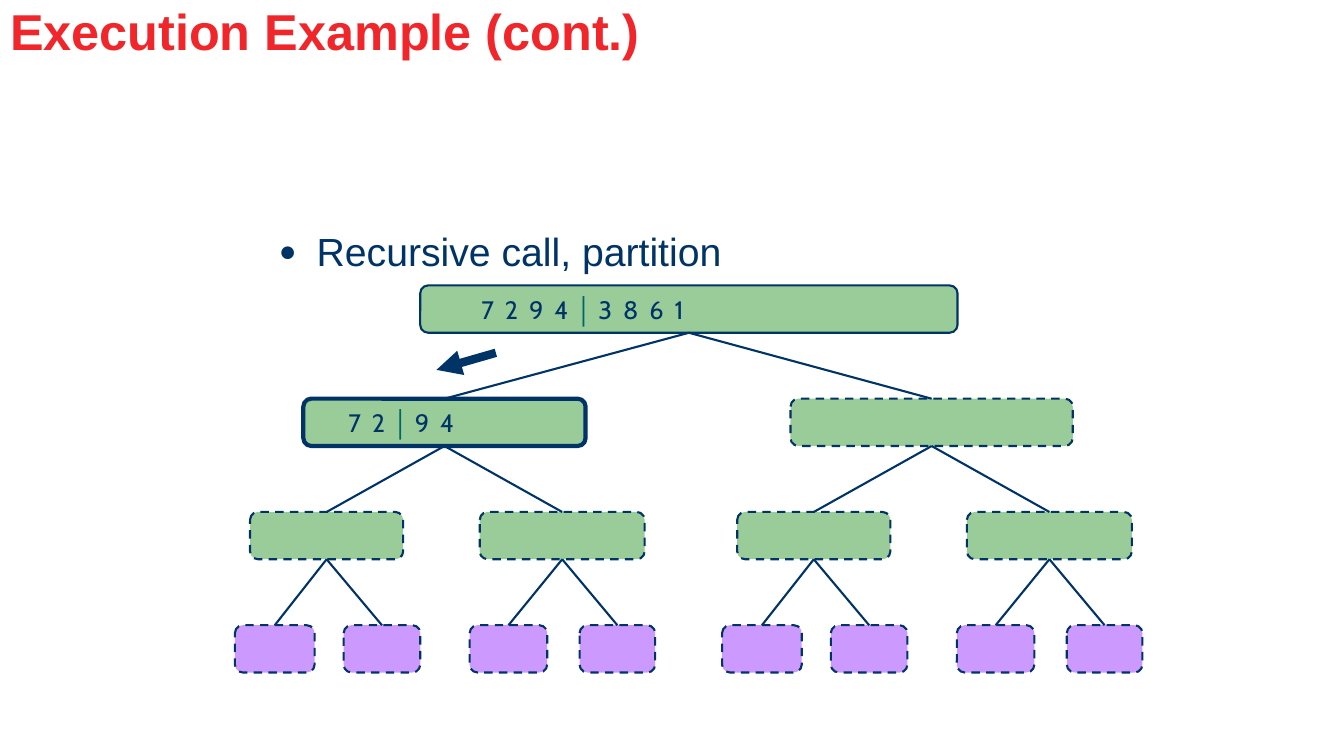
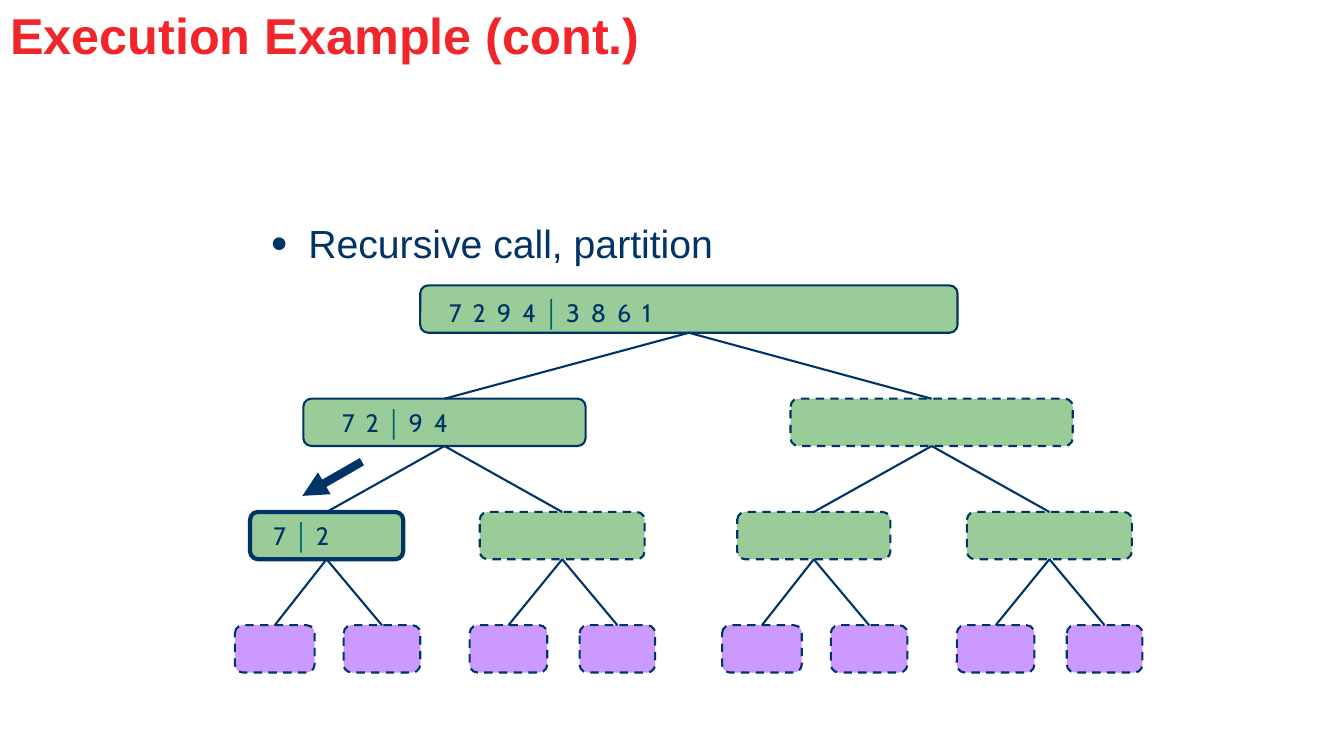
from lxml.etree import SubElement
from pptx import Presentation
from pptx.dml.color import RGBColor
from pptx.enum.dml import MSO_LINE
from pptx.enum.shapes import MSO_CONNECTOR, MSO_SHAPE
from pptx.enum.text import MSO_ANCHOR, MSO_AUTO_SIZE, PP_ALIGN
from pptx.oxml.ns import qn
from pptx.util import Pt

COLORS = {
    "title": "F0262B",
    "navy": "003366",
    "bar": "006666",
    "branch": "99CC99",
    "leaf": "CC99FF",
}

# Tree geometry in points: one (left, width) pair per node
ROOT_TOP, LEVEL_STEP, NODE_HEIGHT = 203.9, 80.9, 33.8
RIGHT_SHIFT = 348
LEFT_SUBTREE = [
    [(216.7, 201.6)],
    [(178.6, 109.4), (342.7, 117.8)],
    [(167.8, 56.9), (245.5, 54.7), (335.5, 55.4), (414, 54)],
]
TREE_LEVELS = [[(300.2, 383.8)]] + [
    level + [(left + RIGHT_SHIFT, width) for left, width in level]
    for level in LEFT_SUBTREE
]
DIGIT_SPACING = 1.9

# Filled nodes, keyed by (level, index): digits left and right of the bar,
# left inset, top inset and outline width
SLIDES = [
    {
        "title_top": 1.5,
        "body_at": (192, 159),
        "nodes": {
            (0, 0): ("7 2 9 4", "3 8 6 1", 42, 3.6, 1.5),
            (1, 0): ("7 2", "9 4", 30.5, 3.6, 3),
        },
        "arrow": (354.2, 252, 311.8, 264.2),
    },
    {
        "title_top": 4.3,
        "body_at": (186, 153),
        "nodes": {
            (0, 0): ("7 2 9 4", "3 8 6 1", 19, 8, 1.5),
            (1, 0): ("7 2", "9 4", 26, 3.6, 1.5),
            (2, 0): ("7", "2", 15, 3.6, 3),
        },
        "arrow": (258.5, 329.8, 216, 354.2),
    },
]


def color(name):
    return RGBColor.from_string(COLORS[name])


def style_font(font, size, color_name, name="Arial", bold=False):
    font.name, font.size, font.bold = name, Pt(size), bold
    font.color.rgb = color(color_name)


def place(shape, left, top, width, height):
    shape.left, shape.top = Pt(left), Pt(top)
    shape.width, shape.height = Pt(width), Pt(height)


def fill_placeholder(shape, text, anchor):
    frame = shape.text_frame
    frame.text = text
    frame.word_wrap = True
    frame.auto_size = MSO_AUTO_SIZE.NONE
    frame.vertical_anchor = anchor
    paragraph = frame.paragraphs[0]
    paragraph.alignment = PP_ALIGN.LEFT
    paragraph.space_before = Pt(0)
    return paragraph


def add_title(slide, top):
    title = slide.shapes.title
    place(title, 0, top, 630, 46)
    paragraph = fill_placeholder(title, "Execution Example (cont.)", MSO_ANCHOR.BOTTOM)
    paragraph.line_spacing = 0.9
    style_font(paragraph.runs[0].font, 36, "title", bold=True)


def add_bullet(paragraph):
    properties = paragraph._p.get_or_add_pPr()
    properties.set("marL", str(Pt(27)))
    properties.set("indent", str(-Pt(27)))
    bullet_color = SubElement(properties, qn("a:buClr"))
    SubElement(bullet_color, qn("a:srgbClr"), val=COLORS["navy"])
    SubElement(properties, qn("a:buSzPct"), val="75000")
    SubElement(properties, qn("a:buFont"), typeface="Arial")
    SubElement(properties, qn("a:buChar"), char="●")


def add_body(slide, left, top):
    body = slide.placeholders[1]
    place(body, left, top, 612, 41)
    paragraph = fill_placeholder(body, "Recursive call, partition", MSO_ANCHOR.TOP)
    add_bullet(paragraph)
    style_font(paragraph.runs[0].font, 28, "navy")


def write_digits(node, before, after, left_inset, top_inset):
    frame = node.text_frame
    frame.word_wrap = True
    frame.vertical_anchor = MSO_ANCHOR.MIDDLE
    frame.margin_left, frame.margin_top = Pt(left_inset), Pt(top_inset)
    paragraph = frame.paragraphs[0]
    paragraph.alignment = PP_ALIGN.LEFT
    # Digits are spread out; the spaces beside the bar stay narrow
    parts = [(before, DIGIT_SPACING), (" ", -DIGIT_SPACING), ("│", 0),
             (" ", 0), (after, DIGIT_SPACING)]
    for text, spacing in parts:
        run = paragraph.add_run()
        run.text = text
        if text == "│":
            style_font(run.font, 18, "bar", bold=True)
        else:
            style_font(run.font, 18, "navy", name="Cabin")
        run._r.get_or_add_rPr().set("spc", str(round(spacing * 100)))


def add_node(slide, level, left, width, content):
    top = ROOT_TOP + level * LEVEL_STEP
    node = slide.shapes.add_shape(
        MSO_SHAPE.ROUNDED_RECTANGLE, Pt(left), Pt(top), Pt(width), Pt(NODE_HEIGHT))
    node.shadow.inherit = False
    is_leaf = level == len(TREE_LEVELS) - 1
    node.fill.solid()
    node.fill.fore_color.rgb = color("leaf" if is_leaf else "branch")
    node.line.color.rgb = color("navy")
    if content:
        *text, outline = content
        node.line.width = Pt(outline)
        write_digits(node, *text)
    else:
        node.line.width = Pt(1.5)
        node.line.dash_style = MSO_LINE.DASH
    return node


def add_line(slide, width, ends=(0, 0, 0, 0)):
    line = slide.shapes.add_connector(MSO_CONNECTOR.STRAIGHT, *map(Pt, ends))
    line.line.color.rgb = color("navy")
    line.line.width = Pt(width)
    SubElement(line.element.spPr, qn("a:effectLst"))
    return line


def add_tree(slide, contents):
    parents = []
    for level, positions in enumerate(TREE_LEVELS):
        nodes = [add_node(slide, level, left, width, contents.get((level, index)))
                 for index, (left, width) in enumerate(positions)]
        if parents:
            for index, node in enumerate(nodes):
                edge = add_line(slide, 1.5)
                edge.begin_connect(parents[index // 2], 2)
                edge.end_connect(node, 0)
        parents = nodes


def add_arrow(slide, ends):
    arrow = add_line(slide, 6, ends)
    outline = arrow.element.spPr.find(qn("a:ln"))
    SubElement(outline, qn("a:tailEnd"), type="triangle")


def main():
    presentation = Presentation()
    presentation.slide_width, presentation.slide_height = Pt(960), Pt(540)
    for step in SLIDES:
        slide = presentation.slides.add_slide(presentation.slide_layouts[1])
        add_title(slide, step["title_top"])
        add_body(slide, *step["body_at"])
        add_tree(slide, step["nodes"])
        add_arrow(slide, step["arrow"])
    presentation.save("out.pptx")


if __name__ == "__main__":
    main()
